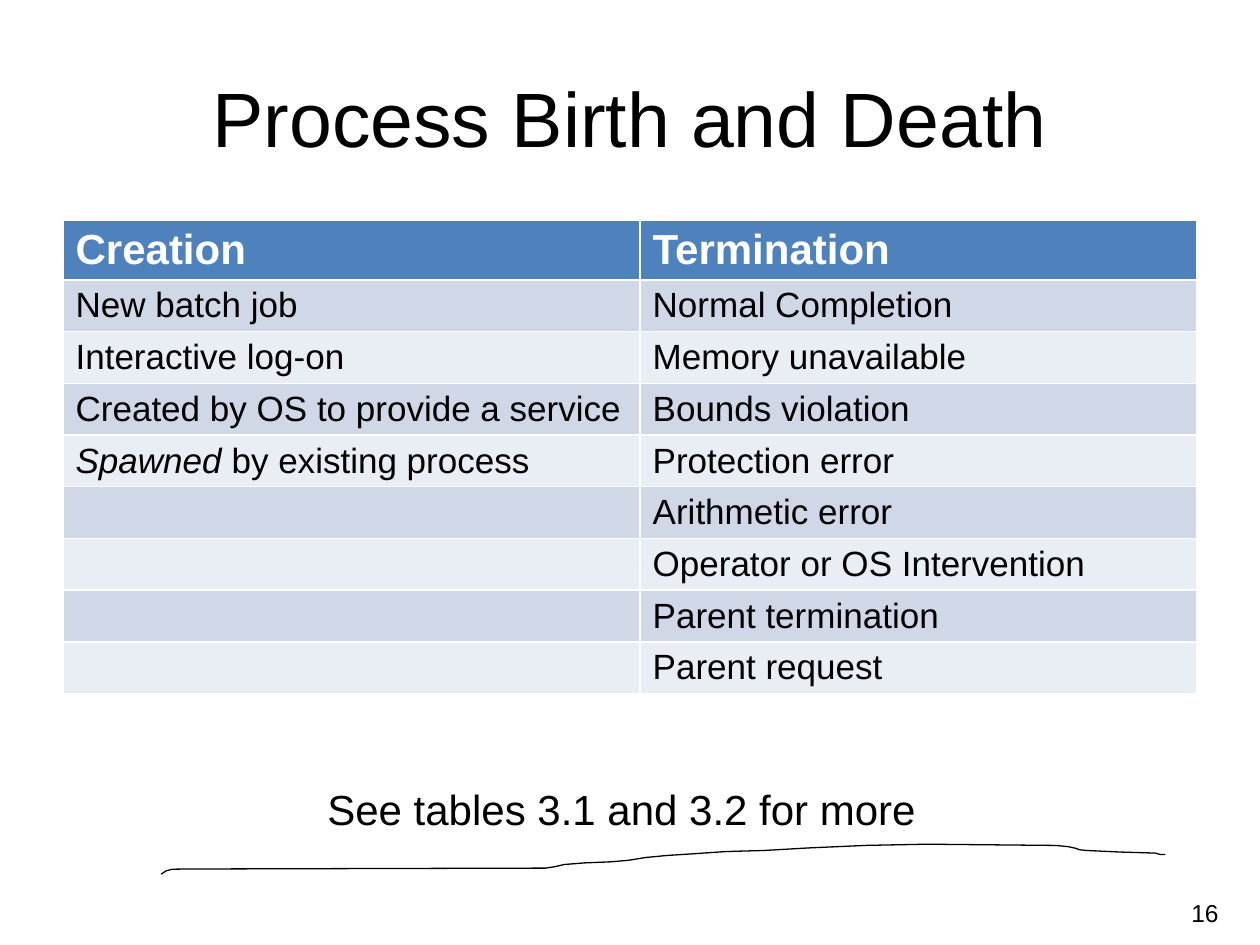
from dataclasses import dataclass
from itertools import zip_longest

from lxml.etree import SubElement
from pptx import Presentation
from pptx.dml.color import RGBColor
from pptx.enum.text import MSO_ANCHOR, MSO_AUTO_SIZE, PP_ALIGN
from pptx.oxml.ns import qn
from pptx.slide import Slide
from pptx.table import _Cell
from pptx.text.text import TextFrame, _Paragraph
from pptx.util import Pt

COLORS = {
    "ink": "000000",
    "header": "4F81BD",
    "header_text": "FFFFFF",
    "odd_row": "D0D8E8",
    "even_row": "E9EDF4",
}


@dataclass(frozen=True)
class Span:
    text: str
    italic: bool = False


@dataclass(frozen=True)
class Column:
    heading: str
    width: float
    entries: tuple[tuple[Span, ...], ...]


@dataclass(frozen=True)
class Note:
    text: str
    left: float
    top: float
    width: float
    height: float
    size: float
    align: PP_ALIGN


COLUMNS = (
    Column("Creation", 329.76, (
        (Span("New batch job"),),
        (Span("Interactive log-on"),),
        (Span("Created by OS to provide a service"),),
        (Span("Spawned", italic=True), Span(" by existing process")),
    )),
    Column("Termination", 318.24, (
        (Span("Normal Completion"),),
        (Span("Memory unavailable"),),
        (Span("Bounds violation"),),
        (Span("Protection error"),),
        (Span("Arithmetic error"),),
        (Span("Operator or OS Intervention"),),
        (Span("Parent termination"),),
        (Span("Parent request"),),
    )),
)
NOTES = (
    Note("16", 666, 509.76, 37.44, 24.48, 14, PP_ALIGN.RIGHT),
    Note("See tables 3.1 and 3.2 for more", 180, 444.24, 359.28, 36, 24, PP_ALIGN.LEFT),
)
STROKE = (
    (92.16, 499.5), (95, 497.6), (98.5, 496.7), (107.28, 496.6), (311.76, 496.08),
    (317, 495.3), (322.56, 494), (334, 493.1), (349.2, 492.48), (359.28, 491.6),
    (369, 490), (380.88, 488.88), (394.56, 488), (415, 486.6), (437.04, 486),
    (461.52, 484.56), (495, 483.1), (529.92, 482.4), (603.36, 483.12),
    (610.56, 483.84), (614.5, 484.7), (617, 485.6), (620.64, 486), (640, 486.9),
    (660.24, 487.5), (663, 488.3), (666, 488.3),
)
HEADER_HEIGHT = 33.12
ROW_HEIGHT = 29.52


def write(
    paragraph: _Paragraph,
    spans: tuple[Span, ...],
    size: float,
    color: str = "ink",
    bold: bool = False,
) -> None:
    for span in spans:
        run = paragraph.add_run()
        run.text = span.text
        formats = {"name": "Arial", "size": Pt(size), "bold": bold, "italic": span.italic}
        for attribute, value in formats.items():
            setattr(run.font, attribute, value)
        run.font.color.rgb = RGBColor.from_string(COLORS[color])


def arrange(frame: TextFrame, formats: dict) -> None:
    for attribute, value in formats.items():
        setattr(frame, attribute, value)


def draw_title(slide: Slide, text: str) -> None:
    title = slide.shapes.title
    place = {"left": 36, "top": 21.6, "width": 648, "height": 90}
    for attribute, value in place.items():
        setattr(title, attribute, Pt(value))
    arrange(title.text_frame, {
        "vertical_anchor": MSO_ANCHOR.MIDDLE,
        "auto_size": MSO_AUTO_SIZE.NONE,
    })
    heading = title.text_frame.paragraphs[0]
    heading.alignment = PP_ALIGN.CENTER
    write(heading, (Span(text),), 44)


def fill_cell(cell: _Cell, color: str) -> None:
    cell.fill.solid()
    cell.fill.fore_color.rgb = RGBColor.from_string(COLORS[color])


def draw_causes(slide: Slide, columns: tuple[Column, ...]) -> None:
    entry_rows = list(zip_longest(*(column.entries for column in columns), fillvalue=()))
    width = sum(column.width for column in columns)
    height = HEADER_HEIGHT + ROW_HEIGHT * len(entry_rows)
    causes = slide.shapes.add_table(
        len(entry_rows) + 1, len(columns), Pt(36), Pt(126), Pt(width), Pt(height)
    ).table
    for row in causes.rows:
        row.height = Pt(ROW_HEIGHT)
    causes.rows[0].height = Pt(HEADER_HEIGHT)
    for across, column in enumerate(columns):
        causes.columns[across].width = Pt(column.width)
        header = causes.cell(0, across)
        fill_cell(header, "header")
        write(header.text_frame.paragraphs[0], (Span(column.heading),), 24, "header_text", True)
    for down, entries in enumerate(entry_rows, start=1):
        for across, spans in enumerate(entries):
            cell = causes.cell(down, across)
            fill_cell(cell, "odd_row" if down % 2 else "even_row")
            write(cell.text_frame.paragraphs[0], spans, 20)


def draw_note(slide: Slide, note: Note) -> None:
    place = (Pt(value) for value in (note.left, note.top, note.width, note.height))
    frame = slide.shapes.add_textbox(*place).text_frame
    arrange(frame, {"word_wrap": True, "auto_size": MSO_AUTO_SIZE.SHAPE_TO_FIT_TEXT})
    frame.paragraphs[0].alignment = note.align
    write(frame.paragraphs[0], (Span(note.text),), note.size)


def draw_stroke(slide: Slide, points: tuple[tuple[float, float], ...]) -> None:
    start, *rest = [(Pt(x), Pt(y)) for x, y in points]
    builder = slide.shapes.build_freeform(*start)
    builder.add_line_segments(rest, close=False)
    stroke = builder.convert_to_shape()
    stroke.shadow.inherit = False
    stroke.fill.background()
    stroke.line.width = Pt(0.75)
    stroke.line.color.rgb = RGBColor.from_string(COLORS["ink"])
    SubElement(stroke.line._get_or_add_ln(), qn("a:round"))


def main() -> None:
    presentation = Presentation()
    presentation.slide_width = Pt(720)
    presentation.slide_height = Pt(540)
    slide = presentation.slides.add_slide(presentation.slide_layouts.get_by_name("Title Only"))
    draw_stroke(slide, STROKE)
    draw_title(slide, "Process Birth and Death")
    draw_causes(slide, COLUMNS)
    for note in NOTES:
        draw_note(slide, note)
    presentation.save("out.pptx")


if __name__ == "__main__":
    main()
